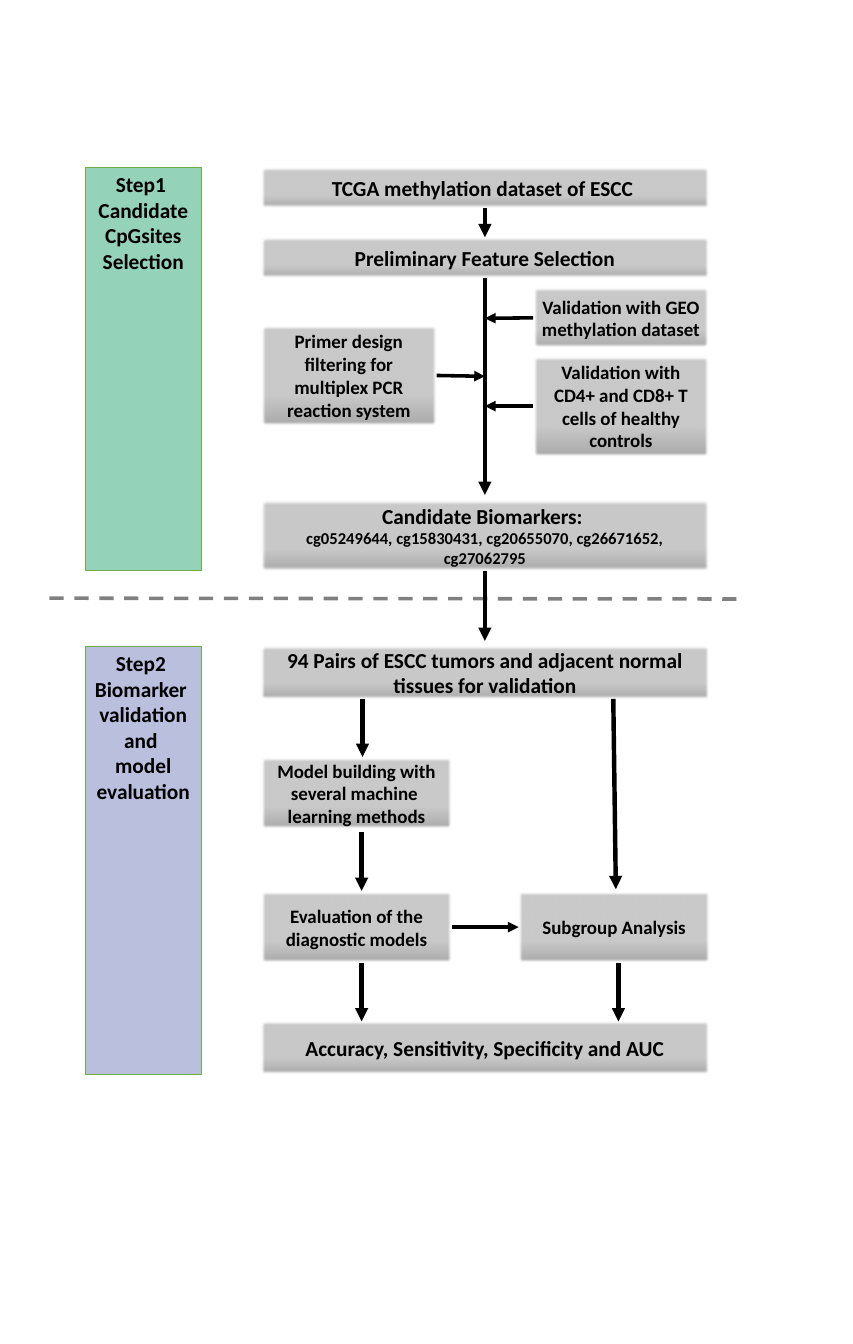
from lxml.etree import SubElement
from pptx import Presentation
from pptx.dml.color import RGBColor
from pptx.enum.dml import MSO_LINE
from pptx.enum.shapes import MSO_CONNECTOR, MSO_SHAPE
from pptx.enum.text import MSO_ANCHOR, PP_ALIGN
from pptx.oxml.ns import qn
from pptx.util import Inches, Pt

# Columns of the chart: left edges and widths in inches
STEP_LEFT, STEP_WIDTH = 1, 1.36
FLOW_LEFT, FLOW_WIDTH = 3.06, 5.25
FLOW_RIGHT = FLOW_LEFT + FLOW_WIDTH
FLOW_CENTER = FLOW_LEFT + FLOW_WIDTH / 2
SIDE_WIDTH, MODEL_WIDTH = 2.06, 2.24
SIDE_LEFT = FLOW_RIGHT - SIDE_WIDTH
SUBGROUP_LEFT = 6.08

# Rows of the chart: tops and heights in inches
STEP1_TOP, STEP1_BOTTOM = 1.96, 6.69
STEP2_TOP, STEP2_BOTTOM = 7.57, 12.59
TITLE_HEIGHT, WIDE_HEIGHT, MODEL_HEIGHT = 0.48, 0.62, 0.85
MODEL_TOP, EVALUATION_TOP = 8.87, 10.44
RESULT_TOP = STEP2_BOTTOM - WIDE_HEIGHT

TOP, LEFT, BOTTOM, RIGHT = range(4)


def color(value):
    return RGBColor.from_string(value)


def write_lines(shape, lines, anchor):
    """Fill a shape with centred bold paragraphs of (text, size)."""
    frame = shape.text_frame
    frame.word_wrap = True
    frame.vertical_anchor = anchor
    for index, (text, size) in enumerate(lines):
        para = frame.add_paragraph() if index else frame.paragraphs[0]
        para.alignment = PP_ALIGN.CENTER
        span = para.add_run()
        span.text = text
        span.font.name = "Calibri"
        span.font.size = Pt(size)
        span.font.bold = True
        span.font.color.rgb = color("000000")


def add_rectangle(page, left, top, width, height, outline, weight):
    box = page.shapes.add_shape(MSO_SHAPE.RECTANGLE, Inches(left), Inches(top),
                                Inches(width), Inches(height))
    box.shadow.inherit = False
    box.line.color.rgb = color(outline)
    box.line.width = Pt(weight)
    return box


def add_step(page, top, bottom, fill, texts):
    panel = add_rectangle(page, STEP_LEFT, top, STEP_WIDTH, bottom - top, "70AD47", 0.5)
    panel.fill.solid()
    panel.fill.fore_color.rgb = color(fill)
    write_lines(panel, [(text, 18) for text in texts], MSO_ANCHOR.TOP)


def add_box(page, left, top, width, height, *lines):
    """Grey box, darker towards the bottom, with soft edges."""
    box = add_rectangle(page, left, top, width, height, "43739E", 1)
    box.fill.gradient()
    box.fill.gradient_angle = 90
    for stop, position, shade in zip(box.fill.gradient_stops, (0, 0.31), ("A8A8A8", "C9C9C9")):
        stop.position = position
        stop.color.rgb = color(shade)
    effects = box.element.spPr.find(qn("a:effectLst"))
    SubElement(effects, qn("a:softEdge"), rad=str(Pt(2.5)))
    write_lines(box, lines, MSO_ANCHOR.MIDDLE)
    return box


def add_line(page, start, end, weight, shade="000000"):
    """Straight line; each end is a point or a (box, side) pair."""
    ends = (start, end)
    joined = [not isinstance(item[0], (int, float)) for item in ends]
    points = [(0, 0) if is_joined else item for item, is_joined in zip(ends, joined)]
    line = page.shapes.add_connector(MSO_CONNECTOR.STRAIGHT,
                                     *[Inches(value) for point in points for value in point])
    if joined[0]:
        line.begin_connect(*start)
    if joined[1]:
        line.end_connect(*end)
    line.line.width = Pt(weight)
    line.line.color.rgb = color(shade)
    SubElement(line.element.spPr, qn("a:effectLst"))
    return line


def add_arrow(page, start, end, weight=3.75):
    arrow = add_line(page, start, end, weight)
    SubElement(arrow.line._get_or_add_ln(), qn("a:tailEnd"), type="triangle")


def add_selection(page):
    """Step 1: from the dataset to the candidate biomarkers."""
    add_step(page, STEP1_TOP, STEP1_BOTTOM, "94D2B9",
             ["Step1 ", "Candidate CpGsites", "Selection"])
    dataset = add_box(page, FLOW_LEFT, STEP1_TOP, FLOW_WIDTH, TITLE_HEIGHT,
                      ("TCGA methylation dataset of ESCC ", 18))
    preliminary = add_box(page, FLOW_LEFT, 2.78, FLOW_WIDTH, TITLE_HEIGHT,
                          ("Preliminary Feature Selection", 18))
    geo = add_box(page, SIDE_LEFT, 3.37, SIDE_WIDTH, 0.71,
                  ("Validation with GEO methylation dataset", 16))
    cells = add_box(page, SIDE_LEFT, 4.17, SIDE_WIDTH, 1.18,
                    ("Validation with CD4+ and CD8+ T cells of healthy controls", 16))
    primer = add_box(page, FLOW_LEFT, 3.81, SIDE_WIDTH, 1.18,
                     ("Primer design filtering for multiplex PCR reaction system", 16))
    candidates = add_box(page, FLOW_LEFT, 5.86, FLOW_WIDTH, 0.83,
                         ("Candidate Biomarkers: ", 18),
                         ("cg05249644, cg15830431, cg20655070, cg26671652, cg27062795", 14))

    add_arrow(page, (dataset, BOTTOM), (preliminary, TOP))
    add_arrow(page, (preliminary, BOTTOM), (FLOW_CENTER, 5.8))
    for box, side, height in ((geo, LEFT, 3.73), (cells, LEFT, 4.76), (primer, RIGHT, 4.41)):
        add_arrow(page, (box, side), (FLOW_CENTER, height), 3)
    return candidates


def add_validation(page):
    """Step 2: from the tumor pairs to the performance measures."""
    add_step(page, STEP2_TOP, STEP2_BOTTOM, "B9BFDD",
             ["Step2 ", "Biomarker ", "validation and ", "model evaluation"])
    add_box(page, FLOW_LEFT, STEP2_TOP, FLOW_WIDTH, WIDE_HEIGHT,
            ("94 Pairs of ESCC tumors and adjacent normal tissues for validation", 18))
    add_box(page, FLOW_LEFT, MODEL_TOP, MODEL_WIDTH, MODEL_HEIGHT,
            ("Model building with several machine ", 16), ("learning methods", 16))
    evaluation = add_box(page, FLOW_LEFT, EVALUATION_TOP, MODEL_WIDTH, MODEL_HEIGHT,
                         ("Evaluation of the diagnostic models", 16))
    subgroup = add_box(page, SUBGROUP_LEFT, EVALUATION_TOP, MODEL_WIDTH, MODEL_HEIGHT,
                       ("Subgroup Analysis", 16))
    add_box(page, FLOW_LEFT, RESULT_TOP, FLOW_WIDTH, WIDE_HEIGHT,
            ("Accuracy, Sensitivity, Specificity and AUC", 18))

    for across, start, end in ((4.25, STEP2_TOP + WIDE_HEIGHT, MODEL_TOP),
                               (4.24, 9.75, EVALUATION_TOP),
                               (4.24, EVALUATION_TOP + MODEL_HEIGHT, RESULT_TOP),
                               (7.25, EVALUATION_TOP + MODEL_HEIGHT, RESULT_TOP)):
        add_arrow(page, (across, start), (across, end))
    add_arrow(page, (7.19, STEP2_TOP + WIDE_HEIGHT), (7.22, 10.42))
    add_arrow(page, (evaluation, RIGHT), (subgroup, LEFT), 3)


def main():
    deck = Presentation()
    deck.slide_width, deck.slide_height = Inches(10), Inches(15.75)
    page = deck.slides.add_slide(deck.slide_layouts[6])

    candidates = add_selection(page)

    # Dashed border between the two steps, crossed by the flow
    border = add_line(page, (0.58, 7.01), (8.64, 7.02), 3, "808080")
    border.line.dash_style = MSO_LINE.DASH
    add_arrow(page, (candidates, BOTTOM), (FLOW_CENTER, 7.51))

    add_validation(page)
    deck.save("out.pptx")


if __name__ == "__main__":
    main()
